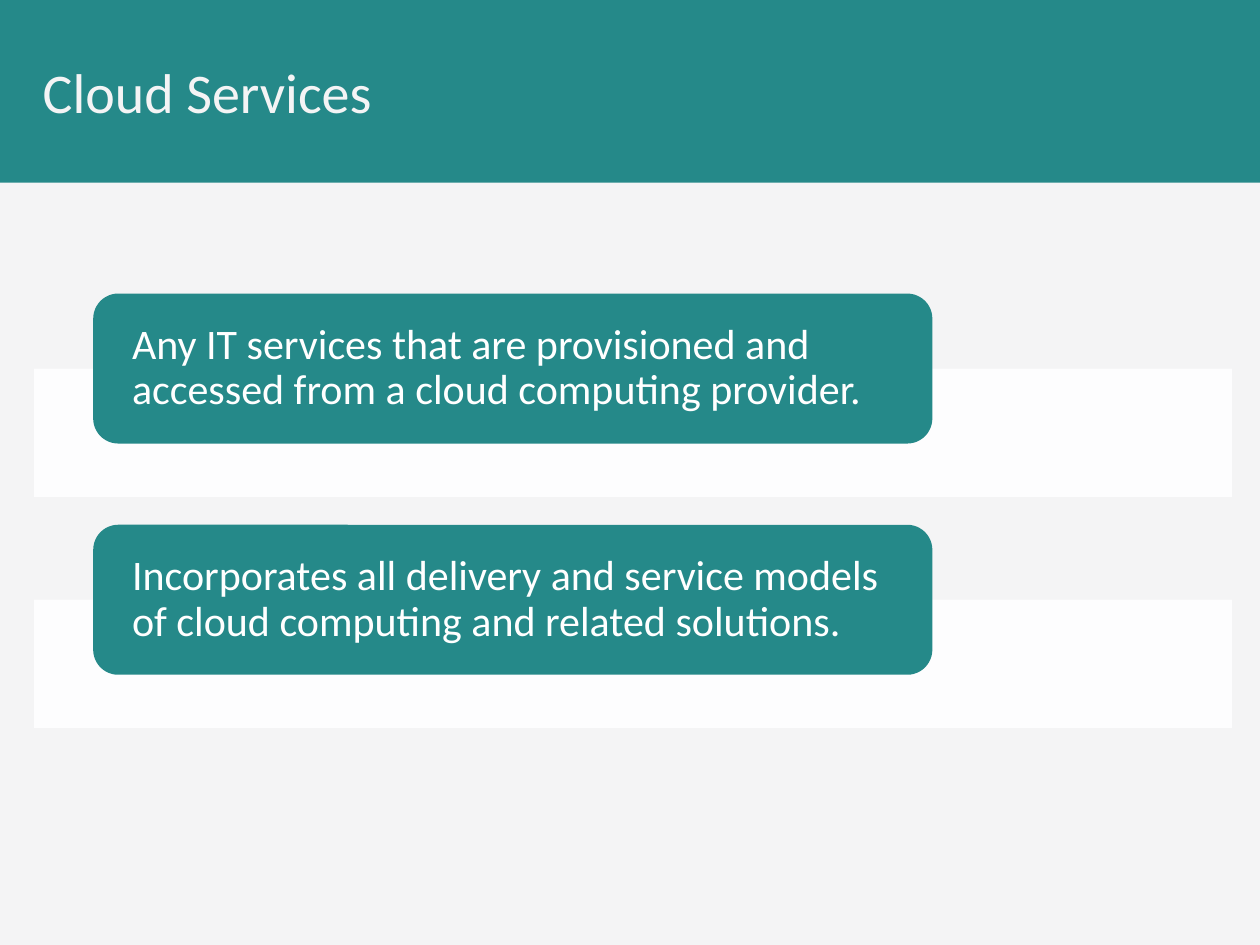
from lxml.etree import SubElement
from pptx import Presentation
from pptx.dml.color import RGBColor
from pptx.enum.shapes import MSO_SHAPE
from pptx.enum.text import MSO_ANCHOR, PP_ALIGN
from pptx.oxml.ns import qn
from pptx.util import Inches, Pt

TEAL, PALE, WHITE = "258989", "F4F4F5", "FFFFFF"
FONT = "Calibri"
GRID = 0.1  # inches per column and per row: 100 columns by 75 rows

STATEMENTS = [
    "Any IT services that are provisioned and accessed from a cloud computing provider.",
    "Incorporates all delivery and service models of cloud computing and related solutions.",
]


def color(hex_code):
    return RGBColor.from_string(hex_code)


def cells(*counts):
    return [Inches(count * GRID) for count in counts]


def write(frame, text, size, ink, inset=(1, 0.5), spacing=1.0):
    frame.word_wrap = True
    frame.vertical_anchor = MSO_ANCHOR.MIDDLE
    side, edge = cells(*inset)
    frame.margin_left = frame.margin_right = side
    frame.margin_top = frame.margin_bottom = edge
    paragraph = frame.paragraphs[0]
    paragraph.alignment = PP_ALIGN.LEFT
    paragraph.line_spacing = spacing
    run = paragraph.add_run()
    run.text = text
    run.font.name, run.font.size = FONT, Pt(size)
    run.font.color.rgb = color(ink)


class Deck:
    def __init__(self, columns=100, rows=75):
        self.presentation = Presentation()
        width, height = cells(columns, rows)
        self.presentation.slide_width = width
        self.presentation.slide_height = height
        self.slide = self.presentation.slides.add_slide(self.presentation.slide_layouts[6])
        background = self.slide.background.fill
        background.solid()
        background.fore_color.rgb = color(PALE)

    def block(self, area, fill, kind=MSO_SHAPE.RECTANGLE, opacity=100):
        block = self.slide.shapes.add_shape(kind, *cells(*area))
        block.shadow.inherit = False
        block.fill.solid()
        block.fill.fore_color.rgb = color(fill)
        block.line.fill.background()
        if opacity < 100:
            tint = block.fill._xPr.find(qn("a:solidFill"))[0]
            SubElement(tint, qn("a:alpha"), val=str(opacity * 1000))
        return block

    def title(self, text, area):
        heading = self.slide.shapes.add_textbox(*cells(*area))
        write(heading.text_frame, text, size=32, ink=PALE)

    def card(self, text, area):
        card = self.block(area, TEAL, MSO_SHAPE.ROUNDED_RECTANGLE)
        write(card.text_frame, text, size=24, ink=WHITE, inset=(2.5, 0), spacing=0.9)


def main():
    deck = Deck()

    # Header band with title
    deck.block((0, 0, 100, 14.5), TEAL)
    deck.title("Cloud Services", (2.4, 0, 95.1, 14.5))

    # Statements: each card overlaps the top of a pale strip
    first_top, pitch, overlap = 23.3, 18.35, 5.95
    for index, statement in enumerate(STATEMENTS):
        top = first_top + index * pitch
        deck.block((2.7, top + overlap, 95.1, 10.2), WHITE, opacity=90)
        deck.card(statement, (7.4, top, 66.6, 11.9))

    deck.presentation.save("out.pptx")


if __name__ == "__main__":
    main()
